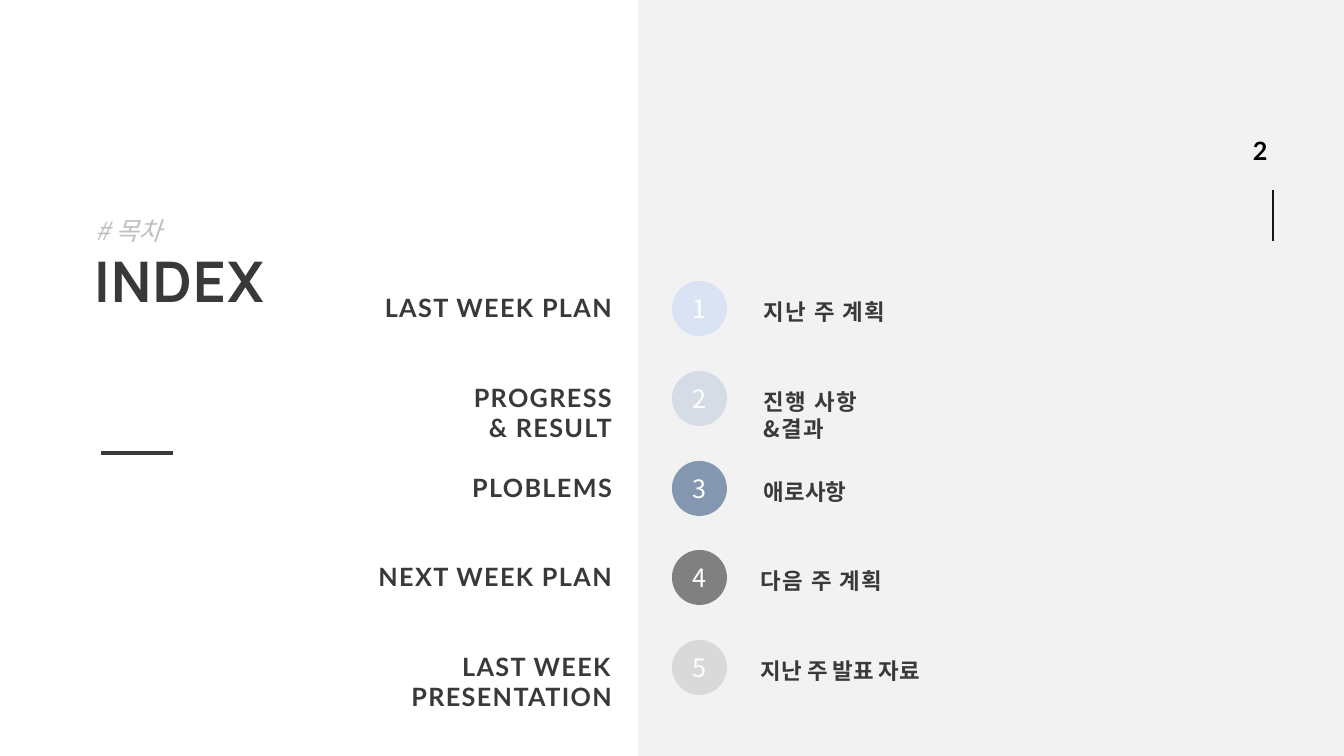
from dataclasses import dataclass

from lxml import etree
from pptx import Presentation
from pptx import util as u
from pptx.dml.color import RGBColor
from pptx.enum import shapes, text
from pptx.oxml.ns import qn

EMU_PER_PX = 914400 / 100.8
FIRST_ROW_TOP = 281
LAST_ROW_TOP = 640
CIRCLE_SIZE = 55
INSET = 5

LATO = "Lato"
MANROPE = "Manrope"
NOTO = "Noto Sans CJK KR"

COLORS = {
    "panel": "F2F2F2",
    "dark": "3B3838",
    "tag": "BFBFBF",
    "page": "000000",
    "page_line": "181717",
    "white": "FFFFFF",
}


@dataclass(frozen=True)
class IndexRow:
    english: str
    korean: str
    fill: str
    korean_left: int = 759
    korean_spacing: int = 1


ROWS = [
    IndexRow("LAST WEEK PLAN", "지난 주 계획", "DAE3F3"),
    IndexRow("PROGRESS\n& RESULT", "진행 사항\n&결과", "D6DCE5"),
    IndexRow("PLOBLEMS", "애로사항", "8497B0", korean_spacing=0),
    IndexRow("NEXT WEEK PLAN", "다음 주 계획", "808080", korean_left=756),
    IndexRow("LAST WEEK PRESENTATION", "지난 주 발표 자료", "D9D9D9", 756, 0),
]


def px(length: int) -> u.Emu:
    return u.Emu(round(length * EMU_PER_PX))


def write_text(shape, content: str, *, font: str, size: int, color: str,
               bold: bool = False, italic: bool = False, spacing: int = 0,
               align=text.PP_ALIGN.LEFT, anchor=text.MSO_ANCHOR.TOP,
               wrap: bool = True, line_spacing=None, space_before=None) -> None:
    """Fill a shape with one paragraph per line; spacing is in points."""
    frame = shape.text_frame
    frame.word_wrap = wrap
    frame.vertical_anchor = anchor
    frame.margin_left = frame.margin_right = px(INSET)
    frame.margin_top = frame.margin_bottom = px(INSET)
    frame.text = content
    for paragraph in frame.paragraphs:
        paragraph.alignment = align
        paragraph.line_spacing = line_spacing
        paragraph.space_before = space_before
        run = paragraph.runs[0]
        run.font.name = font
        run.font.size = u.Pt(size)
        run.font.bold = bold
        run.font.italic = italic
        run.font.color.rgb = RGBColor.from_string(color)
        properties = run.font._element
        if spacing:
            properties.set("spc", str(spacing * 100))
        east_asian = etree.Element(qn("a:ea"), typeface=font)
        properties.find(qn("a:latin")).addnext(east_asian)


def add_text(slide, content: str, left: int, top: int, width: int, height: int,
             **text_format) -> None:
    box = slide.shapes.add_textbox(px(left), px(top), px(width), px(height))
    write_text(box, content, **text_format)


def add_filled(slide, kind, left: int, top: int, width: int, height: int, color: str):
    shape = slide.shapes.add_shape(kind, px(left), px(top), px(width), px(height))
    shape.shadow.inherit = False
    shape.fill.solid()
    shape.fill.fore_color.rgb = RGBColor.from_string(color)
    shape.line.fill.background()
    return shape


def add_line(slide, start: tuple[int, int], end: tuple[int, int],
             color: str, width: float) -> None:
    line = slide.shapes.add_connector(
        shapes.MSO_CONNECTOR.STRAIGHT, *map(px, start + end))
    line.line.color.rgb = RGBColor.from_string(color)
    line.line.width = u.Pt(width)
    etree.SubElement(line._element.spPr, qn("a:effectLst"))


def add_index_row(slide, number: int, top: int, row: IndexRow) -> None:
    circle = add_filled(slide, shapes.MSO_SHAPE.OVAL, 672, top,
                        CIRCLE_SIZE, CIRCLE_SIZE, row.fill)
    write_text(circle, str(number), font=NOTO, size=18, color=COLORS["white"],
               align=text.PP_ALIGN.CENTER, anchor=text.MSO_ANCHOR.MIDDLE, wrap=False)
    add_text(slide, row.english, 280, top + 6, 337, 41, font=LATO, size=18,
             color=COLORS["dark"], bold=True, spacing=1, align=text.PP_ALIGN.RIGHT)
    add_text(slide, row.korean, row.korean_left, top + 12, 270, 38, font=NOTO, size=16,
             color=COLORS["dark"], bold=True, spacing=row.korean_spacing)


def main() -> None:
    presentation = Presentation()
    presentation.slide_width = px(1344)
    presentation.slide_height = px(756)
    slide = presentation.slides.add_slide(presentation.slide_layouts[6])

    add_filled(slide, shapes.MSO_SHAPE.RECTANGLE, 638, 0, 706, 756, COLORS["panel"])
    add_line(slide, (1273, 190), (1273, 241), COLORS["page_line"], 1.5)
    add_text(slide, "2", 1248, 130, 25, 41, font=LATO, size=18,
             color=COLORS["page"], bold=True, wrap=False)

    add_text(slide, "INDEX", 89, 249, 358, 149, font=MANROPE, size=40,
             color=COLORS["dark"], bold=True, spacing=1, line_spacing=0.9)
    add_line(slide, (101, 453), (173, 453), COLORS["dark"], 2.75)
    add_text(slide, "# 목차", 91, 215, 436, 41, font=NOTO, size=18,
             color=COLORS["tag"], italic=True, line_spacing=u.Pt(18),
             space_before=u.Pt(12))

    pitch = (LAST_ROW_TOP - FIRST_ROW_TOP) / (len(ROWS) - 1)
    for index, row in enumerate(ROWS):
        add_index_row(slide, index + 1, FIRST_ROW_TOP + round(index * pitch), row)

    presentation.save("out.pptx")


if __name__ == "__main__":
    main()
